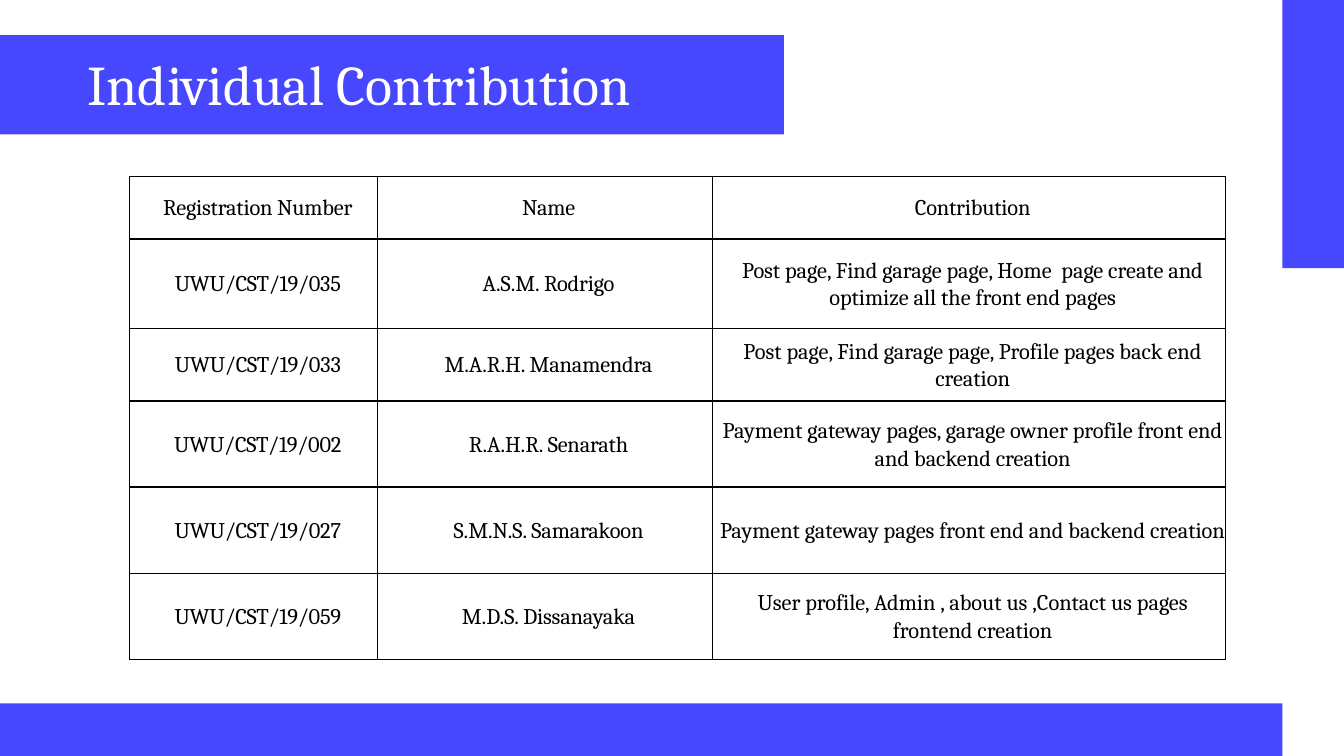
from dataclasses import dataclass

from lxml.etree import SubElement
from pptx import Presentation
from pptx.dml.color import RGBColor
from pptx.enum.shapes import MSO_SHAPE
from pptx.enum.text import MSO_ANCHOR, PP_ALIGN
from pptx.oxml import parse_xml
from pptx.oxml.ns import nsdecls, qn
from pptx.slide import Slide
from pptx.table import _Cell
from pptx.util import Pt


@dataclass(frozen=True)
class Theme:
    accent: RGBColor = RGBColor(0x47, 0x47, 0xFE)
    light: RGBColor = RGBColor(0xFF, 0xFF, 0xFF)
    dark: RGBColor = RGBColor(0, 0, 0)
    font: str = "Cambria"
    title_size: int = 40
    table_size: int = 16
    border_width: int = 1


@dataclass(frozen=True)
class Band:
    left: float
    top: float
    width: float
    height: float


@dataclass(frozen=True)
class Column:
    width: float
    indent: float


@dataclass(frozen=True)
class Row:
    height: float
    space_before: float
    texts: tuple[str, str, str]


@dataclass(frozen=True)
class TextPiece:
    text: str
    spacing: float = 0


THEME = Theme()

BANDS = (
    Band(0, 502.5, 916, 37.5),
    Band(916, 0, 44, 191.5),
    Band(0, 25, 560, 71),
)

COLUMNS = (Column(177, 6.5), Column(239.75, 5), Column(366.25, 5))

ROWS = (
    Row(44.75, 5.2, ("Registration Number", "Name", "Contribution")),
    Row(63.75, 9.1, (
        "UWU/CST/19/035", "A.S.M. Rodrigo",
        "Post page, Find garage page, Home  page create and optimize all the front end pages")),
    Row(52, 7, (
        "UWU/CST/19/033", "M.A.R.H. Manamendra",
        "Post page, Find garage page, Profile pages back end creation")),
    Row(61.5, 9.6, (
        "UWU/CST/19/002", "R.A.H.R. Senarath",
        "Payment gateway pages, garage owner profile front end and backend creation")),
    Row(61.5, 9.6, (
        "UWU/CST/19/027", "S.M.N.S. Samarakoon",
        "Payment gateway pages front end and backend creation")),
    Row(61.5, 9.6, (
        "UWU/CST/19/059", "M.D.S. Dissanayaka",
        "User profile, Admin , about us ,Contact us pages frontend creation")),
)


def set_format(target: object, values: dict[str, object]) -> None:
    for name, value in values.items():
        setattr(target, name, value)


def set_font(font: object, size: float, color: RGBColor) -> None:
    set_format(font, {"name": THEME.font, "size": Pt(size), "bold": False})
    font.color.rgb = color


def draw_band(slide: Slide, band: Band) -> None:
    shape = slide.shapes.add_shape(
        MSO_SHAPE.RECTANGLE, Pt(band.left), Pt(band.top), Pt(band.width), Pt(band.height))
    shape.shadow.inherit = False
    shape.fill.solid()
    shape.fill.fore_color.rgb = THEME.accent
    shape.line.fill.background()


def draw_title(slide: Slide, text: str) -> None:
    frame = slide.shapes.add_textbox(Pt(55.5), Pt(38), Pt(504.5), Pt(53.5)).text_frame
    margins = {f"margin_{side}": Pt(7.2) for side in ("left", "right", "top", "bottom")}
    set_format(frame, {"word_wrap": True, "vertical_anchor": MSO_ANCHOR.BOTTOM, **margins})
    paragraph = frame.paragraphs[0]
    paragraph.line_spacing = 0.9
    run = paragraph.add_run()
    run.text = text
    set_font(run.font, THEME.title_size, THEME.light)


def draw_borders(cell: _Cell) -> None:
    properties = cell._tc.get_or_add_tcPr()
    for position, side in enumerate(("lnL", "lnR", "lnT", "lnB")):
        border = parse_xml(f'<a:{side} {nsdecls("a")} w="{Pt(THEME.border_width)}"/>')
        fill = SubElement(border, qn("a:solidFill"))
        SubElement(fill, qn("a:srgbClr"), val=str(THEME.dark))
        properties.insert(position, border)


def split_text(row_index: int, column_index: int, text: str) -> list[TextPiece]:
    """Registration numbers and surnames are set slightly tighter."""
    if row_index == 0:
        return [TextPiece(text, -0.2 if column_index == 1 else -0.1)]
    if column_index == 1:
        initials, surname = text.split(" ")
        return [TextPiece(initials + " "), TextPiece(surname, -0.1)]
    return [TextPiece(text, -0.1 if column_index == 0 else 0)]


def fill_cell(cell: _Cell, pieces: list[TextPiece], indent: float, space_before: float) -> None:
    margins = {f"margin_{side}": Pt(0) for side in ("left", "right", "top", "bottom")}
    set_format(cell, {"vertical_anchor": MSO_ANCHOR.MIDDLE, **margins})
    cell.fill.background()
    draw_borders(cell)
    paragraph = cell.text_frame.paragraphs[0]
    set_format(paragraph, {
        "alignment": PP_ALIGN.CENTER,
        "line_spacing": 1.07,
        "space_before": Pt(space_before),
    })
    paragraph._p.get_or_add_pPr().set("marL", str(Pt(indent)))
    for piece in pieces:
        run = paragraph.add_run()
        run.text = piece.text
        set_font(run.font, THEME.table_size, THEME.dark)
        run._r.get_or_add_rPr().set("spc", str(round(piece.spacing * 100)))


def draw_table(slide: Slide, left: float, top: float) -> None:
    width = sum(column.width for column in COLUMNS)
    height = sum(row.height for row in ROWS)
    table = slide.shapes.add_table(
        len(ROWS), len(COLUMNS), Pt(left), Pt(top), Pt(width), Pt(height)).table
    set_format(table, {"first_row": False, "horz_banding": False})
    for column_index, column in enumerate(COLUMNS):
        table.columns[column_index].width = Pt(column.width)
    for row_index, row in enumerate(ROWS):
        table.rows[row_index].height = Pt(row.height)
        for column_index, (column, text) in enumerate(zip(COLUMNS, row.texts)):
            pieces = split_text(row_index, column_index, text)
            fill_cell(table.cell(row_index, column_index), pieces,
                      column.indent, row.space_before)


# Slide
presentation = Presentation()
set_format(presentation, {"slide_width": Pt(960), "slide_height": Pt(540)})
slide = presentation.slides.add_slide(presentation.slide_layouts[6])

# Colour bands and title
for band in BANDS:
    draw_band(slide, band)
draw_title(slide, "Individual Contribution")

# Contribution table
draw_table(slide, 92.5, 126)

presentation.save("out.pptx")
